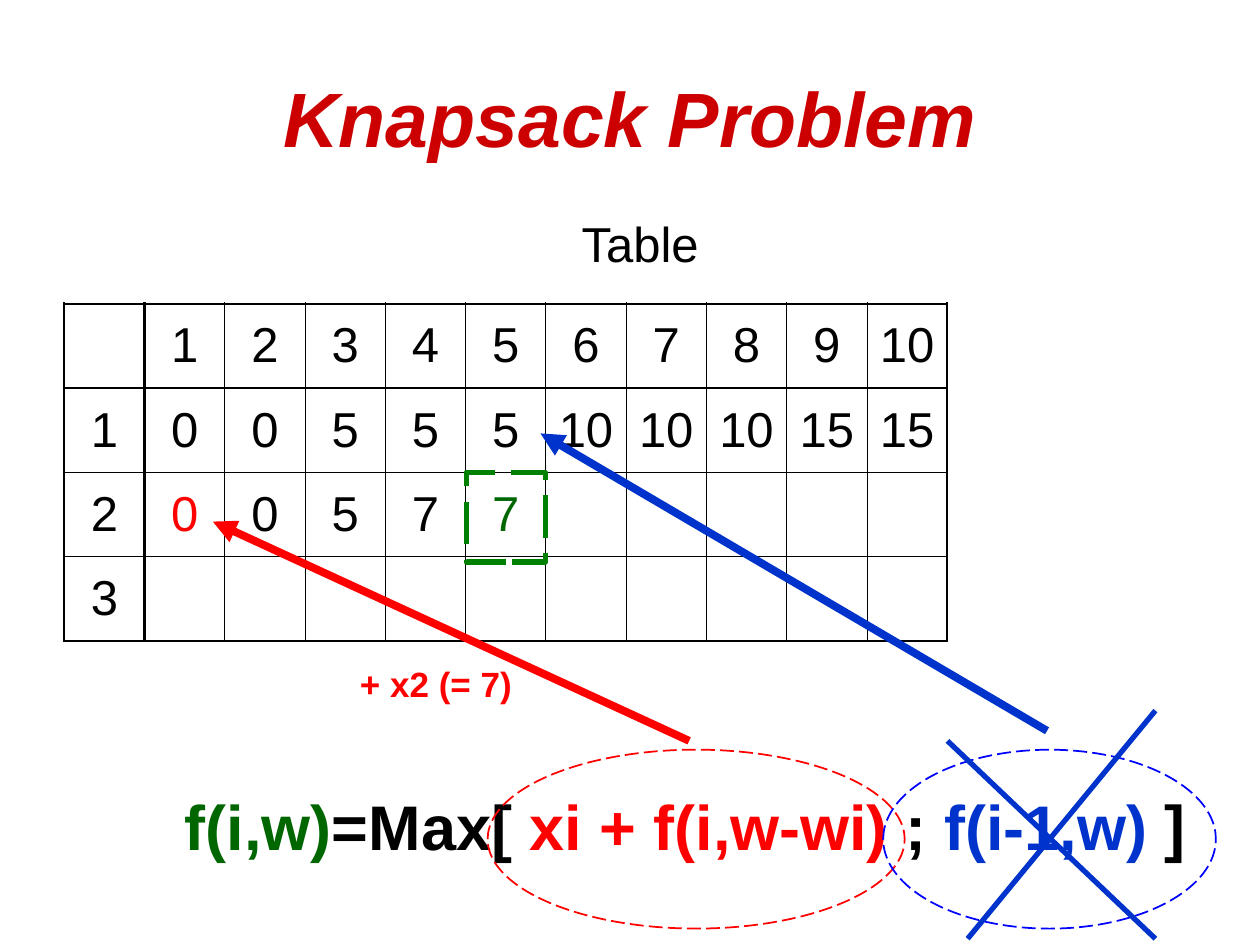
"""Build the Knapsack Problem slide with its dynamic programming table."""
from lxml import etree
from pptx import Presentation
from pptx.dml.color import RGBColor
from pptx.enum.dml import MSO_LINE
from pptx.enum.shapes import MSO_CONNECTOR, MSO_SHAPE
from pptx.enum.text import MSO_ANCHOR, PP_ALIGN
from pptx.oxml import parse_xml
from pptx.oxml.ns import nsdecls, qn
from pptx.util import Inches, Pt

CENTER, TOP, MIDDLE = PP_ALIGN.CENTER, MSO_ANCHOR.TOP, MSO_ANCHOR.MIDDLE
RECTANGLE, OVAL = MSO_SHAPE.RECTANGLE, MSO_SHAPE.OVAL
LONG_DASH, STRAIGHT = MSO_LINE.LONG_DASH, MSO_CONNECTOR.STRAIGHT

BLACK = RGBColor(0x00, 0x00, 0x00)
CRIMSON = RGBColor(0xCC, 0x00, 0x00)
RED = RGBColor(0xFF, 0x00, 0x00)
DARK_GREEN = RGBColor(0x00, 0x66, 0x00)
GREEN = RGBColor(0x00, 0x80, 0x00)
BLUE = RGBColor(0x00, 0x33, 0xCC)
BRIGHT_BLUE = RGBColor(0x00, 0x00, 0xFF)

FONT = "Arial"
THIN, THICK = 0.45, 1.47

TITLE = [("Knapsack Problem", CRIMSON)]
CAPTION = [("Table", BLACK)]
GAIN = [("+ x2 (= 7)", RED)]
FORMULA = [
    ("f(i,w)", DARK_GREEN),
    ("=Max[ ", BLACK),
    ("xi + f(i,w-wi)", RED),
    (" ; ", BLACK),
    ("f(i-1,w)", BLUE),
    (" ]", BLACK),
]

WEIGHTS = [""] + list(range(1, 11))
VALUES = [
    WEIGHTS,
    [1, 0, 0, 5, 5, 5, 10, 10, 10, 15, 15],
    [2, 0, 0, 5, 7, 7],
    [3],
]
CELL_COLORS = {(2, 1): RED, (2, 5): DARK_GREEN}
TABLE_BOX = (0.51, 2.41, 7.01, 2.68)

OUTLINES = [
    (RECTANGLE, (3.7, 3.75, 0.63, 0.71), GREEN, 3),
    (OVAL, (3.87, 5.95, 3.31, 1.42), RED, 1),
    (OVAL, (7.01, 5.95, 2.64, 1.42), BRIGHT_BLUE, 1),
]
LINES = [
    ((5.47, 5.88), (1.69, 4.14), RED, 4.5, True),
    ((8.31, 5.8), (4.29, 3.44), BLUE, 4.5, True),
    ((7.52, 5.88), (9.17, 7.45), BLUE, 3, False),
    ((9.17, 5.64), (7.68, 7.45), BLUE, 3, False),
]


def inches(values):
    return [Inches(value) for value in values]


def write(paragraph, runs, size, space_before=0, bold=False, italic=False):
    paragraph.alignment = CENTER
    paragraph.space_before = Pt(space_before)
    font = paragraph.font
    font.name, font.size, font.bold, font.italic = FONT, Pt(size), bold, italic
    for text, color in runs:
        run = paragraph.add_run()
        run.text = text
        run.font.color.rgb = color


def add_text(slide, box, runs, size, anchor=TOP, line_spacing=0.9, **style):
    frame = slide.shapes.add_textbox(*inches(box)).text_frame
    frame.word_wrap = True
    frame.vertical_anchor = anchor
    frame.paragraphs[0].line_spacing = line_spacing
    write(frame.paragraphs[0], runs, size, **style)


def set_borders(cell, widths):
    properties = cell._tc.get_or_add_tcPr()
    for position, (side, width) in enumerate(widths.items()):
        border = parse_xml(
            f'<a:ln{side} {nsdecls("a")} w="{Pt(width)}"><a:solidFill>'
            f'<a:srgbClr val="{BLACK}"/></a:solidFill></a:ln{side}>'
        )
        properties.insert(position, border)


def add_value_table(slide):
    row_count, column_count = len(VALUES), len(WEIGHTS)
    left, top, width, height = inches(TABLE_BOX)
    table = slide.shapes.add_table(
        row_count, column_count, left, top, width, height
    ).table
    table.first_row = table.horz_banding = False
    for row, values in enumerate(VALUES):
        for column in range(column_count):
            cell = table.cell(row, column)
            cell.fill.background()
            cell.vertical_anchor = MIDDLE
            text = str(values[column]) if column < len(values) else ""
            color = CELL_COLORS.get((row, column), BLACK)
            write(cell.text_frame.paragraphs[0], [(text, color)] if text else [], 28)
            set_borders(cell, {
                "L": THICK if column < 2 else THIN,
                "R": THICK if column in (0, column_count - 1) else THIN,
                "T": THICK if row < 2 else THIN,
                "B": THICK if row in (0, row_count - 1) else THIN,
            })


def add_outline(slide, kind, box, color, width):
    shape = slide.shapes.add_shape(kind, *inches(box))
    shape.shadow.inherit = False
    shape.fill.background()
    shape.line.color.rgb = color
    shape.line.width = Pt(width)
    shape.line.dash_style = LONG_DASH


def add_line(slide, start, end, color, width, arrow):
    connector = slide.shapes.add_connector(STRAIGHT, *inches(start + end))
    connector.line.color.rgb = color
    connector.line.width = Pt(width)
    properties = connector._element.spPr
    if arrow:
        line = properties.find(qn("a:ln"))
        etree.SubElement(line, qn("a:tailEnd"), type="triangle")
    etree.SubElement(properties, qn("a:effectLst"))


def main():
    deck = Presentation()
    deck.slide_width, deck.slide_height = Inches(10), Inches(7.5)
    slide = deck.slides.add_slide(deck.slide_layouts[6])
    add_text(slide, (0.5, 0.3, 9, 1.25), TITLE, 44, MIDDLE, 1, bold=True, italic=True)
    add_text(slide, (2.87, 1.7, 4.42, 0.66), CAPTION, 28, space_before=7)
    add_value_table(slide)
    add_text(slide, (2.24, 5.25, 2.44, 0.66), GAIN, 20, space_before=5, bold=True)
    add_text(slide, (1.06, 6.27, 8.76, 0.98), FORMULA, 36, space_before=9, bold=True)
    for outline in OUTLINES:
        add_outline(slide, *outline)
    for line in LINES:
        add_line(slide, *line)
    deck.save("out.pptx")


if __name__ == "__main__":
    main()
